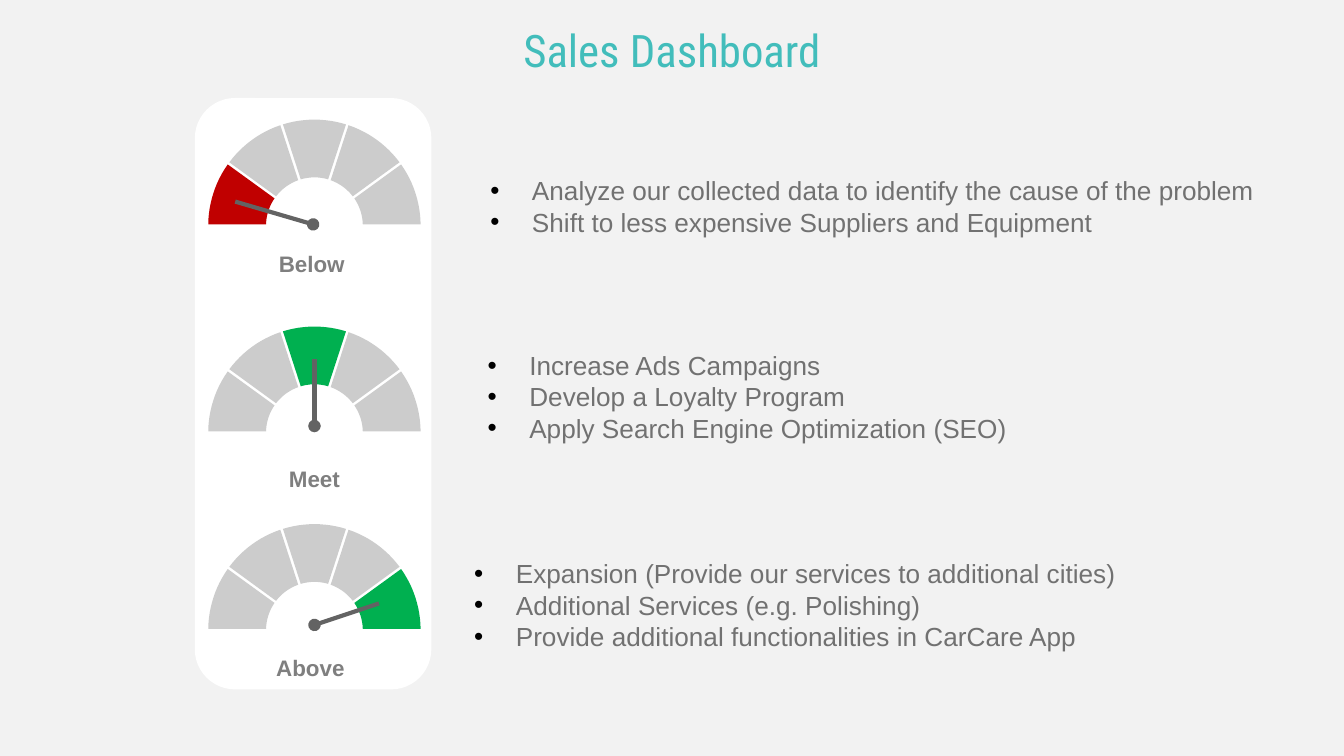
from math import asin, cos, pi, sin

from lxml import etree
from pptx import Presentation
from pptx.dml.color import RGBColor
from pptx.enum import shapes, text
from pptx.oxml import ns
from pptx.util import Inches, Pt

GRAY, RED, GREEN, NEEDLE = "CCCCCC", "C00000", "00B050", "636363"
CENTER_X, OUTER, INNER, HALF_GAP = 2.34, 0.79, 0.36, 0.01
SEGMENTS, ARC_STEPS = 5, 12


def paint(color_format, color):
    """Set a fill or a font to one solid colour."""
    if hasattr(color_format, "solid"):
        color_format.solid()
        color_format.fore_color.rgb = RGBColor.from_string(color)
    else:
        color_format.color.rgb = RGBColor.from_string(color)


def add_text(box, lines, font_name, size, color, bold=False, bullets=False):
    """Add a wrapped text box, either centred or as a bullet list."""
    frame = slide.shapes.add_textbox(*map(Inches, box)).text_frame
    frame.word_wrap = True
    frame.text = "\n".join(lines)
    for paragraph in frame.paragraphs:
        if bullets:
            properties = paragraph._p.get_or_add_pPr()
            properties.set("marL", str(Inches(0.31)))
            properties.set("indent", str(-Inches(0.31)))
            bullet_color = etree.SubElement(properties, ns.qn("a:buClr"))
            etree.SubElement(bullet_color, ns.qn("a:srgbClr"), val="000000")
            etree.SubElement(properties, ns.qn("a:buFont"), typeface="Arial")
            etree.SubElement(properties, ns.qn("a:buChar"), char="•")
        else:
            paragraph.alignment = text.PP_ALIGN.CENTER
        for run in paragraph.runs:
            run.font.name, run.font.size, run.font.bold = font_name, Pt(size), bold
            paint(run.font, color)


presentation = Presentation()
presentation.slide_width = Inches(10)
presentation.slide_height = presentation.slide_width * 9 // 16
slide = presentation.slides.add_slide(presentation.slide_layouts[6])
paint(slide.background.fill, "F2F2F2")

add_text((0, 0.12, 10, 0.5), ["Sales Dashboard"], "Roboto Condensed", 24, "42BDBB")

panel = slide.shapes.add_shape(
    shapes.MSO_SHAPE.ROUNDED_RECTANGLE, Inches(1.45), Inches(0.73), Inches(1.76), Inches(4.4))
panel.adjustments[0] = 0.17
panel.shadow.inherit = False
paint(panel.fill, "FFFFFF")
panel.line.fill.background()

# centre y, highlighted segment from the left, its colour, needle pivot and tip
gauges = [
    (1.68, 0, RED, (2.33, 1.67), (1.75, 1.5)),
    (3.22, 2, GREEN, (2.34, 3.17), (2.34, 2.67)),
    (4.69, 4, GREEN, (2.34, 4.65), (2.82, 4.49)),
]
for center_y, active, active_color, pivot, tip in gauges:
    dial = slide.shapes.add_group_shape()
    for segment in range(SEGMENTS):
        start = pi - segment * pi / SEGMENTS
        end = start - pi / SEGMENTS
        points = []
        # Out along one arc and back along the other, with gaps of even width
        for radius, first, last in ((OUTER, start, end), (INNER, end, start)):
            trim = asin(HALF_GAP / radius) * (1 if last > first else -1)
            first, last = first + trim, last - trim
            for step in range(ARC_STEPS + 1):
                angle = first + (last - first) * step / ARC_STEPS
                points.append((Inches(CENTER_X + radius * cos(angle)),
                               Inches(center_y - radius * sin(angle))))
        builder = dial.shapes.build_freeform(*points[0])
        builder.add_line_segments(points[1:], close=True)
        wedge = builder.convert_to_shape()
        wedge.shadow.inherit = False
        paint(wedge.fill, active_color if segment == active else GRAY)
        wedge.line.fill.background()

    needle = slide.shapes.add_connector(
        shapes.MSO_CONNECTOR.STRAIGHT, *map(Inches, pivot + tip))
    needle.line.width = Pt(2.25)
    paint(needle.line.fill, NEEDLE)
    etree.SubElement(needle.line._get_or_add_ln(), ns.qn("a:headEnd"), type="oval")
    etree.SubElement(needle._element.spPr, ns.qn("a:effectLst"))

for left, top, label in ((1.44, 1.81, "Below"), (1.46, 3.41, "Meet"), (1.43, 4.82, "Above")):
    add_text((left, top, 1.76, 0.3), [label], "Arial", 12, "7F7F7F", bold=True)

actions = [
    ((3.55, 1.25, 5.98, 0.57), [
        "Analyze our collected data to identify the cause of the problem",
        "Shift to less expensive Suppliers and Equipment"]),
    ((3.53, 2.55, 5.78, 0.81), [
        "Increase Ads Campaigns",
        "Develop a Loyalty Program",
        "Apply Search Engine Optimization (SEO)"]),
    ((3.43, 4.1, 5.78, 0.81), [
        "Expansion (Provide our services to additional cities)",
        "Additional Services (e.g. Polishing)",
        "Provide additional functionalities in CarCare App"]),
]
for box, lines in actions:
    add_text(box, lines, "Arial", 14, "717171", bullets=True)

presentation.save("out.pptx")
